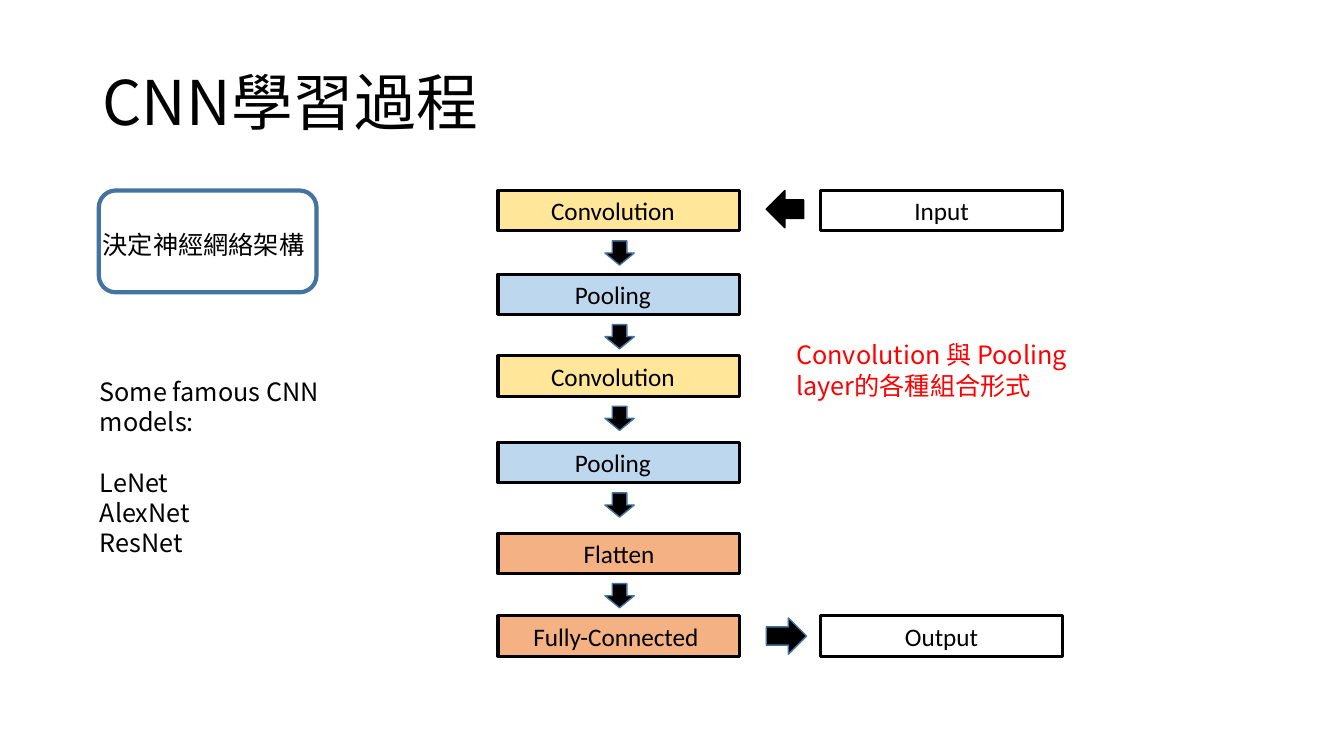
from lxml.etree import SubElement
from pptx import Presentation
from pptx.dml.color import RGBColor
from pptx.enum.shapes import MSO_SHAPE as SHAPE
from pptx.enum.text import MSO_ANCHOR as ANCHOR, PP_ALIGN as ALIGN
from pptx.oxml.ns import qn
from pptx.util import Inches, Pt

SLIDE_W, SLIDE_H = Inches(13.33), Inches(7.5)
BLACK = RGBColor(0x00, 0x00, 0x00)
WHITE = RGBColor(0xFF, 0xFF, 0xFF)
RED = RGBColor(0xFF, 0x00, 0x00)
STEEL = RGBColor(0x43, 0x73, 0x9E)
YELLOW = RGBColor(0xFF, 0xE6, 0x99)
BLUE = RGBColor(0xBD, 0xD7, 0xEE)
ORANGE = RGBColor(0xF4, 0xB1, 0x83)
CJK, LATIN = "Noto Sans CJK JP", "Calibri"

BOX_W, BOX_H = 18, 5.33
SIDE_X = 24
LAYERS = [
    ("Convolution", YELLOW, 0, 0.12),
    ("Pooling", BLUE, 11.07, 0.12),
    ("Convolution", YELLOW, 21.87, 0.12),
    ("Pooling", BLUE, 33.33, 0.12),
    ("Flatten", ORANGE, 45.33, 0),
    ("Fully-Connected", ORANGE, 56.27, 0.06),
]


def place(x, y, w, h):
    """Turn percentages of the slide into lengths."""
    return [int(v * side / 100) for v, side in zip((x, y, w, h), (SLIDE_W, SLIDE_H) * 2)]


def add_run(p, text, size=18, font=LATIN, color=BLACK):
    """Add one formatted run to a paragraph."""
    r = p.add_run()
    r.text = text
    r.font.size, r.font.name = Pt(size), font
    r.font.color.rgb = color
    SubElement(r.font._element, qn("a:ea")).set("typeface", font)


def add_block(s, kind, box, fill, line, weight):
    """Draw a filled and outlined preset shape."""
    sp = s.shapes.add_shape(kind, *place(*box))
    sp.shadow.inherit = False
    sp.fill.solid()
    sp.fill.fore_color.rgb = fill
    sp.line.color.rgb = line
    sp.line.width = Pt(weight)
    return sp


def add_label(s, box, text, size=18, color=BLACK, wrap=True):
    """Add a text box with one paragraph and return its frame."""
    tf = s.shapes.add_textbox(*place(*box)).text_frame
    tf.word_wrap = wrap
    add_run(tf.paragraphs[0], text, size, CJK, color)
    return tf


def add_stage(s, x, y, text, fill, shift=0):
    """Draw a labelled box of the network."""
    sp = add_block(s, SHAPE.RECTANGLE, (x, y, BOX_W, BOX_H), fill, BLACK, 2.25)
    tf = sp.text_frame
    tf.margin_right = Inches(0.1 + shift)
    tf.margin_top = tf.margin_bottom = 0
    tf.vertical_anchor = ANCHOR.MIDDLE
    p = tf.paragraphs[0]
    p.alignment = ALIGN.CENTER
    add_run(p, text)


def add_title(s, x, y, w, h):
    """Write the slide title."""
    tf = add_label(s, (x, y, w, h), "CNN學習過程", 44)
    tf.vertical_anchor = ANCHOR.MIDDLE
    tf.paragraphs[0].line_spacing = 0.9


def add_step(s, x, y, w, h):
    """Draw the rounded box that names the step."""
    add_block(s, SHAPE.ROUNDED_RECTANGLE, (x, y, w, h), WHITE, STEEL, 3)
    add_label(s, (x - 0.45, y + 4.53, w + 0.38, BOX_H), "決定神經網絡架構", wrap=False)


def add_models(s, x, y, w, h):
    """List the well-known models under their heading."""
    tf = add_label(s, (x, y, w, h), "Some famous CNN models:")
    for i, model in enumerate(("LeNet", "AlexNet", "ResNet")):
        p = tf.add_paragraph()
        p.space_before = Pt(0 if i else 22)
        add_run(p, model, font=CJK)


def add_network(s, x, y):
    """Draw the stack of layers with its input, output and remark."""
    for i, (text, fill, dy, shift) in enumerate(LAYERS):
        add_stage(s, x, y + dy, text, fill, shift)
        if i < len(LAYERS) - 1:
            add_block(s, SHAPE.DOWN_ARROW, (x + 7.95, y + dy + 6.67, 2.18, 3.2), BLACK, STEEL, 1)
    last = y + LAYERS[-1][2]
    add_stage(s, x + SIDE_X, y, "Input", WHITE)
    add_stage(s, x + SIDE_X, last, "Output", WHITE)
    add_block(s, SHAPE.LEFT_ARROW, (x + 19.95, y, 2.78, 4.93), BLACK, BLACK, 1)
    add_block(s, SHAPE.RIGHT_ARROW, (x + 19.95, last + 0.27, 3, 4.8), BLACK, STEEL, 1)
    add_label(s, (x + 21.45, y + 19.07, 23.86, 9.47),
              "Convolution 與 Pooling layer的各種組合形式", color=RED)


def main():
    """Build the slide and save it."""
    prs = Presentation()
    prs.slide_width, prs.slide_height = SLIDE_W, SLIDE_H
    s = prs.slides.add_slide(prs.slide_layouts[6])
    add_title(s, 6.9, 4.27, 86.27, 19.33)
    add_step(s, 7.35, 25.2, 16.2, 13.47)
    add_network(s, 37.06, 25.2)
    add_models(s, 6.68, 49.07, 24.38, 29.6)
    prs.save("out.pptx")


if __name__ == "__main__":
    main()
